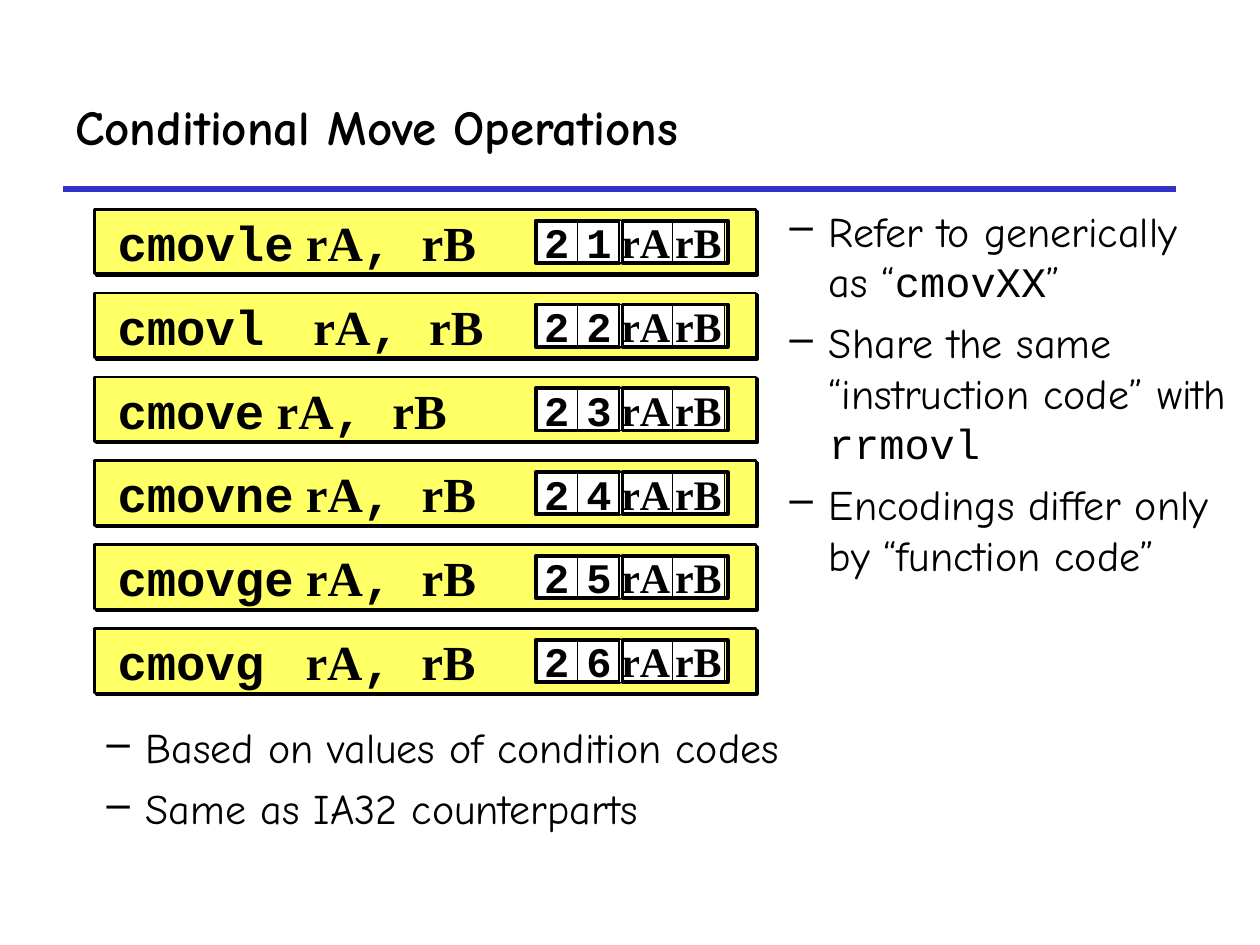
from dataclasses import dataclass

from lxml import etree
from pptx import Presentation
from pptx.dml.color import RGBColor
from pptx.enum.shapes import MSO_CONNECTOR, MSO_SHAPE
from pptx.enum.text import MSO_ANCHOR, PP_ALIGN
from pptx.oxml.ns import qn
from pptx.util import Cm, Pt

RECT = MSO_SHAPE.RECTANGLE
STRAIGHT = MSO_CONNECTOR.STRAIGHT
MIDDLE = MSO_ANCHOR.MIDDLE
CENTER = PP_ALIGN.CENTER


@dataclass(frozen=True)
class Theme:
    ink: RGBColor = RGBColor(0, 0, 0)
    rule: RGBColor = RGBColor(0x33, 0x33, 0xCC)
    row: RGBColor = RGBColor(0xFF, 0xFF, 0x66)
    cell: RGBColor = RGBColor(0xFF, 0xFF, 0xFF)
    head: Pt = Pt(28)
    body: Pt = Pt(24)
    sans: str = "Comic Neue"
    mono: str = "Courier New"
    serif: str = "Times New Roman"


T = Theme()


def write(p, pieces, size, bold):
    for text, font in pieces:
        r = p.add_run()
        r.text = text
        r.font.name = font
        r.font.size = size
        r.font.bold = bold
        r.font.color.rgb = T.ink


def add_box(shapes, x, y, w, h, fill, weight):
    sp = shapes.add_shape(RECT, Cm(x), Cm(y), Cm(w), Cm(h))
    sp.shadow.inherit = False
    if fill is None:
        sp.fill.background()
    else:
        sp.fill.solid()
        sp.fill.fore_color.rgb = fill
    sp.line.color.rgb = T.ink
    sp.line.width = Pt(weight)
    return sp


prs = Presentation()
prs.slide_width, prs.slide_height = Cm(25.4), Cm(19.05)
s = prs.slides.add_slide(prs.slide_layouts[6])

rule = s.shapes.add_connector(STRAIGHT, Cm(1.27), Cm(3.81), Cm(23.7), Cm(3.81))
rule.line.color.rgb = T.rule
rule.line.width = Pt(3)
etree.SubElement(rule._element.spPr, qn("a:effectLst"))

title = s.shapes.add_textbox(Cm(1.27), Cm(1.27), Cm(22.43), Cm(2.54))
tf = title.text_frame
tf.word_wrap = True
tf.vertical_anchor = MIDDLE
write(tf.paragraphs[0], [("Conditional Move Operations", T.sans)], T.head, True)

ROW_TOP, ROW_PITCH, CELL_H = 4.22, 1.69, 0.85
moves = [
    ("cmovle", " ", None),
    ("cmovl", "\t", 3.95),
    ("cmove", " ", None),
    ("cmovne", " ", None),
    ("cmovge", " ", None),
    ("cmovg", "\t", 3.79),
]
for i, (name, gap, tab) in enumerate(moves):
    top = ROW_TOP + i * ROW_PITCH
    cell_top = top + 0.23
    shapes = s.shapes.add_group_shape().shapes

    bar = add_box(shapes, 1.9, top, 13.34, 1.3, T.row, 1.5)
    effects = bar._element.spPr.find(qn("a:effectLst"))
    shadow = etree.SubElement(effects, qn("a:outerShdw"), dist=str(Pt(1.4)), dir="2700000", algn="ctr", rotWithShape="0")
    etree.SubElement(shadow, qn("a:srgbClr"), val=str(T.ink))

    label = shapes.add_textbox(Cm(2.12), Cm(cell_top), Cm(8.4), Cm(CELL_H))
    tf = label.text_frame
    tf.word_wrap = True
    tf.vertical_anchor = MIDDLE
    p = tf.paragraphs[0]
    if tab:
        stops = etree.SubElement(p._p.get_or_add_pPr(), qn("a:tabLst"))
        etree.SubElement(stops, qn("a:tab"), pos=str(Cm(tab)), algn="l")
    pieces = [(name, T.mono), (gap + "rA", T.serif), (", ", T.mono), ("rB", T.serif)]
    write(p, pieces, T.head, True)

    fields = [
        (10.8, 0.85, 10.8, 1.69, T.mono, ("2", str(i + 1))),
        (12.49, 1.06, 12.55, 2.12, T.serif, ("rA", "rB")),
    ]
    for left, cell_w, frame_left, frame_w, font, values in fields:
        for col, value in enumerate(values):
            sp = add_box(shapes, left + col * cell_w, cell_top, cell_w, CELL_H, T.cell, 0.5)
            tf = sp.text_frame
            tf.word_wrap = False
            tf.vertical_anchor = MIDDLE
            p = tf.paragraphs[0]
            p.alignment = CENTER
            write(p, [(value, font)], T.body, True)
        add_box(shapes, frame_left, cell_top, frame_w, CELL_H, None, 2.25)

notes = [
    ((15.67, 4.02, 9.32, 10.16), [
        [("Refer to generically as “", T.sans), ("cmovXX", T.mono), ("”", T.sans)],
        [("Share the same “instruction code” with ", T.sans), ("rrmovl", T.mono)],
        [("Encodings differ only by “function code”", T.sans)],
    ]),
    ((1.9, 14.43, 15.24, 2.51), [
        [("Based on values of condition codes", T.sans)],
        [("Same as IA32 counterparts", T.sans)],
    ]),
]
for place, items in notes:
    tf = s.shapes.add_textbox(*map(Cm, place)).text_frame
    tf.word_wrap = True
    for n, pieces in enumerate(items):
        p = tf.add_paragraph() if n else tf.paragraphs[0]
        pPr = p._p.get_or_add_pPr()
        pPr.set("marL", str(Cm(0.79)))
        pPr.set("indent", str(-Cm(0.79)))
        color = etree.SubElement(pPr, qn("a:buClr"))
        etree.SubElement(color, qn("a:srgbClr"), val=str(T.ink))
        etree.SubElement(pPr, qn("a:buChar"), char="–")
        if n:
            p.space_before = Pt(6)
        write(p, pieces, T.body, False)

prs.save("out.pptx")
